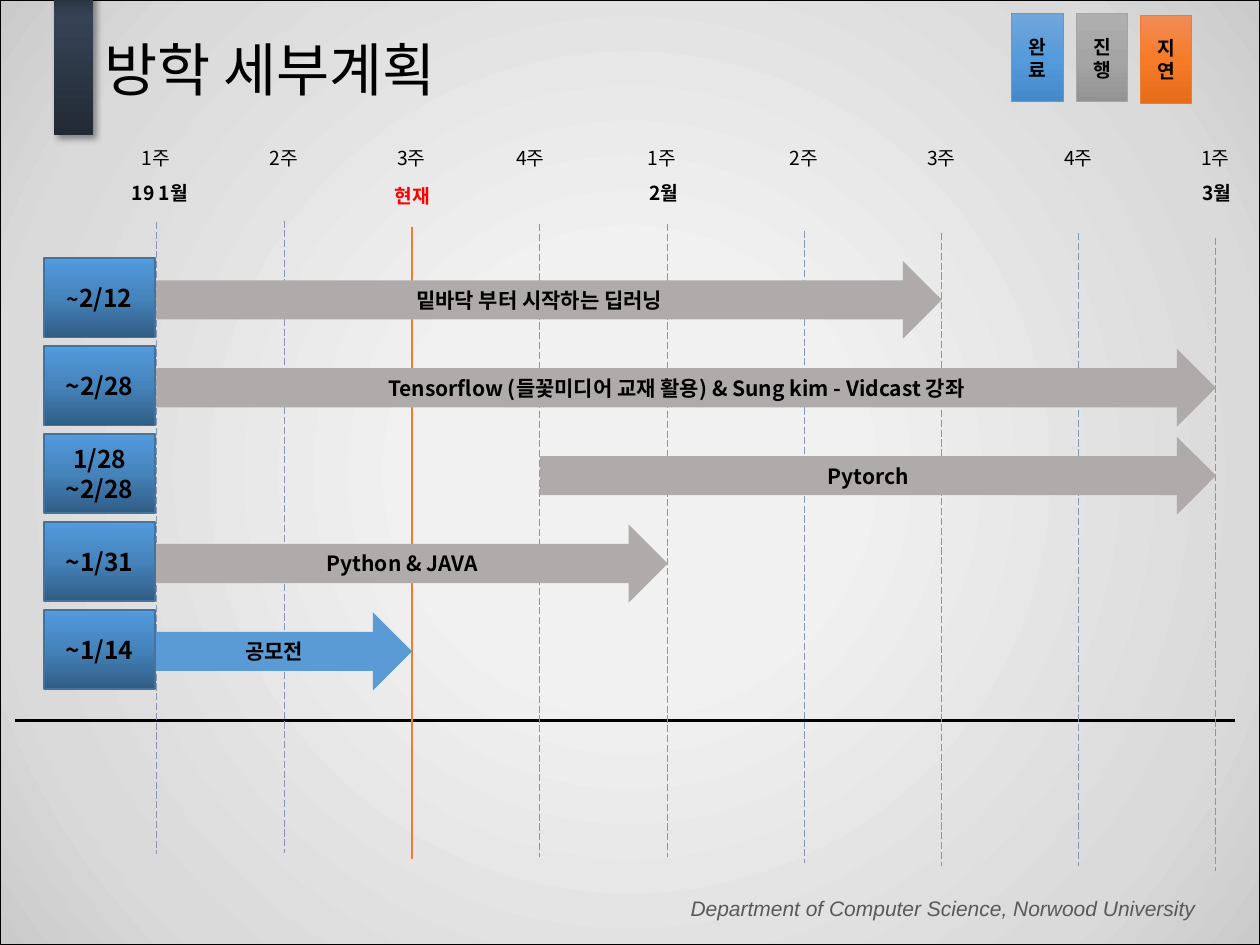
from lxml import etree
from pptx import Presentation
from pptx.dml.color import RGBColor
from pptx.enum.dml import MSO_LINE
from pptx.enum.shapes import MSO_CONNECTOR, MSO_SHAPE
from pptx.enum.text import MSO_ANCHOR, MSO_AUTO_SIZE, PP_ALIGN
from pptx.oxml import parse_xml
from pptx.oxml.ns import nsdecls, qn
from pptx.util import Inches, Pt

BLACK = RGBColor(0x00, 0x00, 0x00)
RED = RGBColor(0xFF, 0x00, 0x00)
ORANGE = RGBColor(0xED, 0x7D, 0x31)
BLUE = RGBColor(0x5B, 0x9B, 0xD5)
GRAY = RGBColor(0xA5, 0xA5, 0xA5)
WARM_GRAY = RGBColor(0xAF, 0xAB, 0xAB)
STEEL = RGBColor(0x84, 0x97, 0xB0)
NAVY = RGBColor(0x43, 0x73, 0x9E)
FOOTER = RGBColor(0x59, 0x59, 0x59)


def shades(positions, *codes):
    return list(zip(positions, map(RGBColor.from_string, codes)))


PAPER = shades((27, 80, 100), "F1F1F1", "DADADA", "CACACA")
SLATE = shades((0, 80, 100), "222A35", "364355", "222A35")
DATE_FILL = shades((0, 50, 100), "305C84", "4583BB", "529BDE")
DONE_FILL = shades((0, 50, 100), "71A6DB", "559BDB", "448ACA")
ACTIVE_FILL = shades((0, 50, 100), "AFAFAF", "A5A5A5", "939393")
LATE_FILL = shades((0, 50, 100), "F18C57", "F67B28", "E56C19")

# Timeline grid: nine week columns (February is wider), five task rows
JAN, FEB, MAR = 1.24, 5.3, 9.65
WEEKS = [JAN + (FEB - JAN) * i / 4 for i in range(4)]
WEEKS += [FEB + (MAR - FEB) * i / 4 for i in range(5)]
ROWS = [2.05 + (4.84 - 2.05) * i / 4 for i in range(5)]
NOW = 2


class Deck:
    font = "Noto Sans CJK KR"

    def __init__(self, width, height):
        self.prs = Presentation()
        self.prs.slide_width, self.prs.slide_height = Inches(width), Inches(height)
        self.s = self.prs.slides.add_slide(self.prs.slide_layouts[6])

    def style(self, r, size, bold=False, color=BLACK, font=None, italic=False):
        f = r.font
        f.size, f.bold, f.italic = Pt(size), bold, italic
        f.color.rgb = color
        f.name = font or self.font
        ea = etree.SubElement(r._r.get_or_add_rPr(), qn("a:ea"))
        ea.set("typeface", f.name)

    def caption(self, sp, text, size, align=PP_ALIGN.CENTER, anchor=MSO_ANCHOR.MIDDLE,
                inset=0.1, **look):
        tf = sp.text_frame
        tf.text, tf.word_wrap, tf.vertical_anchor = text, True, anchor
        tf.margin_left = tf.margin_right = Inches(inset)
        for p in tf.paragraphs:
            p.alignment = align
            for r in p.runs:
                self.style(r, size, **look)
        return tf

    def text(self, box, text, size, grow=True, **look):
        sp = self.s.shapes.add_textbox(*map(Inches, box))
        look.setdefault("anchor", MSO_ANCHOR.TOP)
        tf = self.caption(sp, text, size, **look)
        if grow:
            tf.auto_size = MSO_AUTO_SIZE.SHAPE_TO_FIT_TEXT
        return tf

    def shape(self, box, fill, line=None, width=0.5, angle=90, radial=False,
              kind=MSO_SHAPE.RECTANGLE):
        sp = self.s.shapes.add_shape(kind, *map(Inches, box))
        sp.shadow.inherit = False
        if isinstance(fill, list):
            self.gradient(sp, fill, angle, radial)
        else:
            sp.fill.solid()
            sp.fill.fore_color.rgb = fill
        if line is None:
            sp.line.fill.background()
        else:
            sp.line.color.rgb, sp.line.width = line, Pt(width)
        return sp

    def gradient(self, sp, stops, angle, radial):
        sp.fill.gradient()
        old = sp._element.spPr.find(qn("a:gradFill"))
        marks = "".join(f'<a:gs pos="{pos * 1000}"><a:srgbClr val="{c}"/></a:gs>'
                        for pos, c in stops)
        course = f'<a:lin ang="{angle * 60000}" scaled="0"/>'
        if radial:
            course = ('<a:path path="circle"><a:fillToRect l="50000" t="50000" '
                      'r="50000" b="50000"/></a:path>')
        new = parse_xml(f'<a:gradFill {nsdecls("a")} rotWithShape="1">'
                        f'<a:gsLst>{marks}</a:gsLst>{course}</a:gradFill>')
        old.getparent().replace(old, new)

    def cast_shadow(self, sp):
        sp._element.spPr.find(qn("a:effectLst")).append(parse_xml(
            f'<a:outerShdw {nsdecls("a")} blurRad="{Pt(4)}" dist="{Pt(3)}" dir="2700000">'
            '<a:srgbClr val="000000"><a:alpha val="40000"/></a:srgbClr></a:outerShdw>'))

    def line(self, x1, y1, x2, y2, color, width, dash=None):
        c = self.s.shapes.add_connector(MSO_CONNECTOR.STRAIGHT,
                                        *map(Inches, (x1, y1, x2, y2)))
        c.line.color.rgb, c.line.width = color, Pt(width)
        if dash:
            c.line.dash_style = dash
        etree.SubElement(c._element.spPr, qn("a:effectLst"))


d = Deck(10, 7.5)

# Backdrop, footer and title
d.shape((0, 0, 10, 7.5), PAPER, BLACK, radial=True)
d.text((1.93, 7.06, 7.66, 0.3), "Department of Computer Science, Norwood University", 12,
       align=PP_ALIGN.RIGHT, color=FOOTER, font="Arial", italic=True)
d.cast_shadow(d.shape((0.43, -0.11, 0.31, 1.18), SLATE, angle=270))
title = d.text((0.73, -0.15, 8.62, 1.45), "방학 세부계획", 33, grow=False,
               align=PP_ALIGN.LEFT, anchor=MSO_ANCHOR.MIDDLE)
title.paragraphs[0].line_spacing = 0.9

# Status legend
legend = [("완\v료", DONE_FILL, BLUE, 0.11), ("진\v행", ACTIVE_FILL, GRAY, 0.11),
          ("지\v연", LATE_FILL, ORANGE, 0.12)]
for i, (status, fill, line, top) in enumerate(legend):
    sp = d.shape((8.03 + 0.51 * i, top, 0.41, 0.7), fill, line)
    d.caption(sp, status, 11, bold=True, inset=0)

# Week lines and labels
d.line(0.12, 5.72, 9.8, 5.72, BLACK, 1.5)
tops = (1.76, 1.75, 1.8, 1.78, 1.78, 1.83, 1.85, 1.85, 1.89)
nudges = {3: -0.07, 4: -0.04}
for i, (x, top) in enumerate(zip(WEEKS, tops)):
    look = (ORANGE, 1.5) if i == NOW else (STEEL, 0.5, MSO_LINE.LONG_DASH)
    d.line(x, top, x, top + 5.02, *look)
    d.text((x + nudges.get(i, 0) - 0.3, 1.11, 0.59, 0.29), f"{i % 4 + 1}주", 11)

# Months and the current week
for x, month in ((0.78, "19 1월"), (4.78, "2월"), (9.15, " 3월")):
    d.text((x, 1.39, 0.98, 0.29), month, 11, bold=True)
d.text((3.05, 1.42, 0.45, 0.27), "현재", 11, grow=False, bold=True, color=RED,
       anchor=MSO_ANCHOR.MIDDLE, inset=0)

# Tasks: due date, name, first week, last week, colour
tasks = [
    ("~", "밑바닥 부터 시작하는 딥러닝", 0, 6, WARM_GRAY),
    ("~2/28", "Tensorflow (들꽃미디어 교재 활용) & Sung kim - Vidcast 강좌", 0, 8, WARM_GRAY),
    ("1/28\n~2/28", "Pytorch", 3, 8, WARM_GRAY),
    ("~1/31", "Python & JAVA", 0, 4, WARM_GRAY),
    ("~1/14", "공모전", 0, 2, BLUE),
]
for y, (due, name, first, last, color) in zip(ROWS, tasks):
    x = WEEKS[first]
    arrow = d.shape((x, y + 0.02, WEEKS[last] - x, 0.62), color, kind=MSO_SHAPE.RIGHT_ARROW)
    d.caption(arrow, name, 12, bold=True, inset=0)
    box = d.shape((0.35, y, 0.88, 0.63), DATE_FILL, NAVY, 1, angle=270)
    tf = d.caption(box, due, 12 if due == "~" else 14, bold=True)
    if due == "~":
        r = tf.paragraphs[0].add_run()
        r.text = "2/12"
        d.style(r, 14, bold=True)

d.prs.save("out.pptx")
